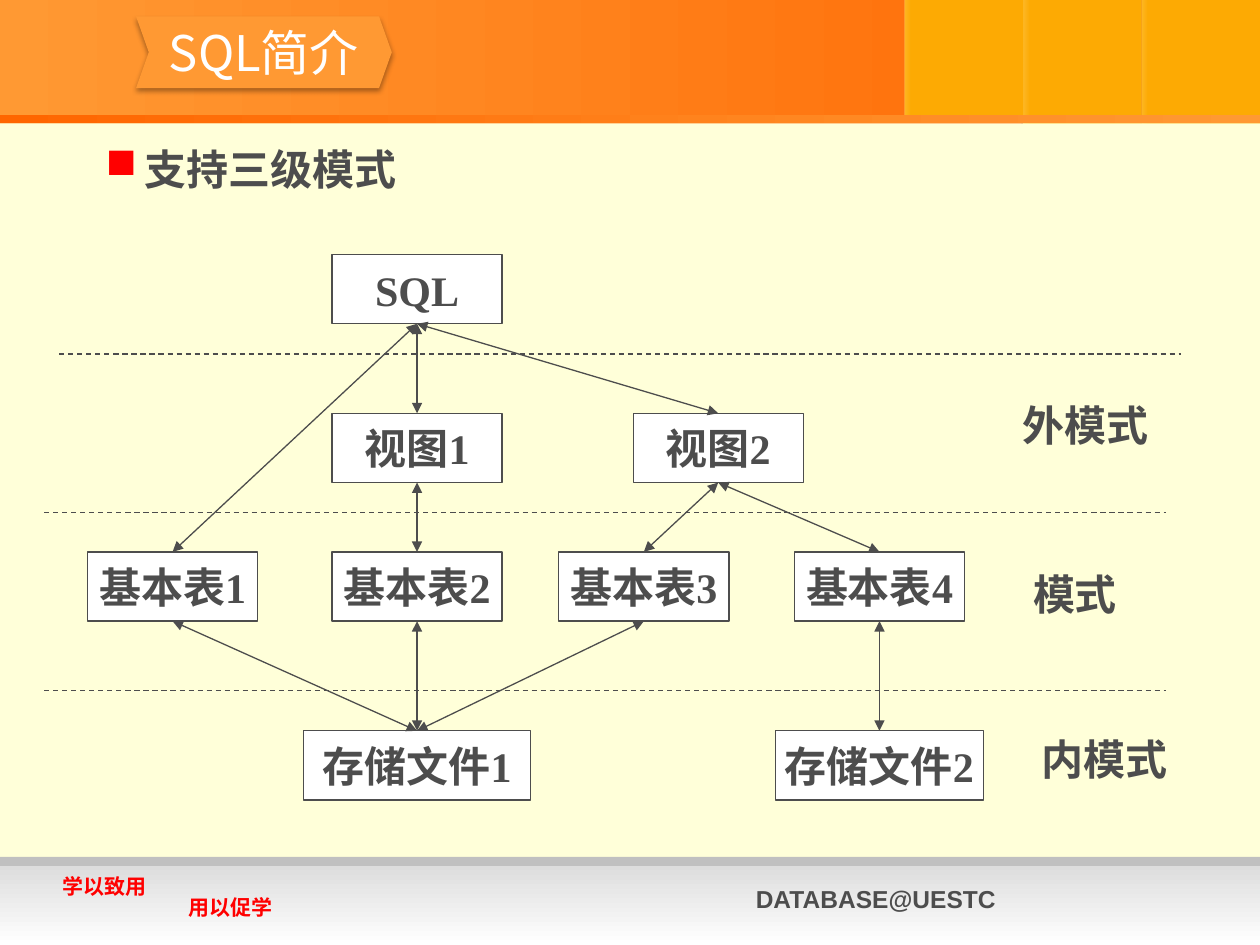
from lxml import etree
from pptx import Presentation
from pptx.dml.color import RGBColor
from pptx.enum.dml import MSO_LINE
from pptx.enum.shapes import MSO_CONNECTOR, MSO_SHAPE
from pptx.enum.text import MSO_ANCHOR, PP_ALIGN
from pptx.oxml import parse_xml
from pptx.oxml.ns import nsdecls, qn
from pptx.util import Inches, Pt

WIDTH, HEIGHT = 10, 7.5
COLORS = {
    "cream": "FFFFD9", "light orange": "FF9933", "orange": "FF6600",
    "amber": "FDAA03", "rust": "D25500", "brown": "612700",
    "silver": "C0C0C0", "mist": "DDDDDD", "white": "FFFFFF",
    "text": "4D4D4D", "red": "FF0000",
}
HAN, SERIF, SANS = "Noto Sans CJK SC", "Times New Roman", "Arial"

# Diagram content: rows of boxes as (name, center x, width)
BOX_WIDTH, BOX_HEIGHT = 1.35, 0.55
ROWS = [
    (2.02, [("SQL", 3.31, BOX_WIDTH)]),
    (3.28, [("视图1", 3.31, BOX_WIDTH), ("视图2", 5.7, BOX_WIDTH)]),
    (4.38, [("基本表1", 1.37, BOX_WIDTH), ("基本表2", 3.31, BOX_WIDTH),
            ("基本表3", 5.11, BOX_WIDTH), ("基本表4", 6.98, BOX_WIDTH)]),
    (5.8, [("存储文件1", 3.31, 1.8), ("存储文件2", 6.98, 1.65)]),
]
LINKS = {
    "SQL": ["视图1", "视图2", "基本表1"],
    "视图1": ["基本表2"],
    "视图2": ["基本表3", "基本表4"],
    "基本表4": ["存储文件2"],
    "基本表2": ["存储文件1"],
    "基本表1": ["存储文件1"],
    "基本表3": ["存储文件1"],
}
DIVIDERS = [(0.47, 2.81), (0.35, 4.07), (0.35, 5.48)]
DIVIDER_LENGTH = 8.9
LEVEL_LABELS = [("外模式", 8.02, 3.12), ("模式", 8.1, 4.46), ("内模式", 8.17, 5.77)]

presentation = Presentation()
presentation.slide_width, presentation.slide_height = Inches(WIDTH), Inches(HEIGHT)
slide = presentation.slides.add_slide(presentation.slide_layouts[6])


def rgb(name):
    return RGBColor.from_string(COLORS[name])


def add_box(left, top, width, height, fill, preset=MSO_SHAPE.RECTANGLE):
    shape = slide.shapes.add_shape(
        preset, Inches(left), Inches(top), Inches(width), Inches(height))
    shape.shadow.inherit = False
    shape.fill.solid()
    shape.fill.fore_color.rgb = rgb(fill)
    shape.line.fill.background()
    return shape


def add_gradient(left, top, width, height, colors, angle=0, opacities=(100, 100)):
    shape = add_box(left, top, width, height, colors[0])
    shape.fill.gradient()
    shape.fill.gradient_angle = angle
    for stop, color in zip(shape.fill.gradient_stops, colors):
        stop.color.rgb = rgb(color)
    for element, opacity in zip(shape._element.spPr.iter(qn("a:srgbClr")), opacities):
        if opacity < 100:
            etree.SubElement(element, qn("a:alpha"), val=str(opacity * 1000))


def add_text(paragraph, text, size, font, color="text", bold=True):
    run = paragraph.add_run()
    run.text = text
    run.font.size, run.font.bold, run.font.name = Pt(size), bold, font
    run.font.color.rgb = rgb(color)
    etree.SubElement(run._r.get_or_add_rPr(), qn("a:ea"), typeface=HAN)


def add_text_frame(left, top, width, height):
    frame = slide.shapes.add_textbox(
        Inches(left), Inches(top), Inches(width), Inches(height)).text_frame
    frame.word_wrap = True
    return frame


def add_line(start=(0, 0), end=(0, 0)):
    line = slide.shapes.add_connector(
        MSO_CONNECTOR.STRAIGHT, *(Inches(value) for value in (*start, *end)))
    line.line.color.rgb = rgb("text")
    line.line.width = Pt(0.75)
    etree.SubElement(line._element.spPr, qn("a:effectLst"))
    return line


# Background and header
slide.background.fill.solid()
slide.background.fill.fore_color.rgb = rgb("cream")
add_gradient(0, 0, WIDTH, 0.99, ("light orange", "orange"))
for left, height in [(9.06, 0.99), (8.12, 0.99), (7.18, 0.92)]:
    if height > 0.95:
        add_gradient(left - 0.01, 0, 0.94, height, ("rust", "brown"), opacities=(80, 0))
    add_box(left, 0, 0.94, height, "amber")
    add_gradient(left, 0, 0.05, height, ("cream", "amber"), opacities=(18, 15))
add_gradient(0, 0.91, WIDTH, 0.07, ("orange", "light orange"))
add_box(0, 0.98, WIDTH, 0.61, "cream")

# Footer
add_box(0, 6.8, WIDTH, 0.29, "silver")
add_gradient(0, 6.87, WIDTH, 0.63, ("mist", "white"), angle=270)
add_text(add_text_frame(5.9, 6.97, 3.45, 0.34).paragraphs[0], "DATABASE@UESTC", 14, SANS)
motto = add_text_frame(0.4, 6.92, 2, 0.5)
for index, text in enumerate(["学以致用", "用以促学"]):
    paragraph = motto.add_paragraph() if index else motto.paragraphs[0]
    paragraph.line_spacing = 0.82
    paragraph._p.get_or_add_pPr().set("marL", str(Inches(index)))
    add_text(paragraph, text, 12, SANS, "red")

# Bulleted heading
paragraph = add_text_frame(0.24, 1.09, 9.34, 0.6).paragraphs[0]
properties = paragraph._p.get_or_add_pPr()
properties.set("marL", str(Inches(0.81)))
properties.set("indent", str(Inches(-0.31)))
bullet_color = etree.SubElement(properties, qn("a:buClr"))
etree.SubElement(bullet_color, qn("a:srgbClr"), val=COLORS["red"])
etree.SubElement(properties, qn("a:buChar"), char="■")
add_text(paragraph, "支持三级模式", 24, HAN)

# Title ribbon
ribbon = add_box(1.08, 0.13, 2.03, 0.57, "light orange", MSO_SHAPE.CHEVRON)
ribbon.adjustments[0] = 0.178
effects = ribbon._element.spPr.find(qn("a:effectLst"))
effects.append(parse_xml(
    f'<a:outerShdw {nsdecls("a")} blurRad="{Pt(3.1)}" dist="{Pt(1.8)}" dir="5400000"'
    ' rotWithShape="0"><a:srgbClr val="000000"><a:alpha val="35000"/></a:srgbClr>'
    '</a:outerShdw>'))
ribbon.text_frame.word_wrap = False
ribbon.text_frame.vertical_anchor = MSO_ANCHOR.MIDDLE
paragraph = ribbon.text_frame.paragraphs[0]
paragraph.alignment = PP_ALIGN.CENTER
add_text(paragraph, "SQL简介", 28, HAN, "white", bold=False)

# Diagram boxes
nodes = {}
for top, boxes in ROWS:
    for name, center, width in boxes:
        node = add_box(center - width / 2, top, width, BOX_HEIGHT, "white")
        node.line.color.rgb = rgb("text")
        node.line.width = Pt(0.75)
        node.text_frame.word_wrap = False
        node.text_frame.vertical_anchor = MSO_ANCHOR.MIDDLE
        paragraph = node.text_frame.paragraphs[0]
        paragraph.alignment = PP_ALIGN.CENTER
        add_text(paragraph, name, 24, SERIF)
        nodes[name] = node

# Level dividers
for left, top in DIVIDERS:
    add_line((left, top), (left + DIVIDER_LENGTH, top)).line.dash_style = MSO_LINE.DASH

# Two-way arrows from the bottom of one box to the top of another
for upper, targets in LINKS.items():
    for lower in targets:
        arrow = add_line()
        arrow.begin_connect(nodes[upper], 2)
        arrow.end_connect(nodes[lower], 0)
        for end in ("a:headEnd", "a:tailEnd"):
            etree.SubElement(arrow.line._get_or_add_ln(), qn(end), type="triangle")

# Level labels
for text, left, top in LEVEL_LABELS:
    add_text(add_text_frame(left, top, 1.35, 0.5).paragraphs[0], text, 24, SERIF)

presentation.save("out.pptx")
